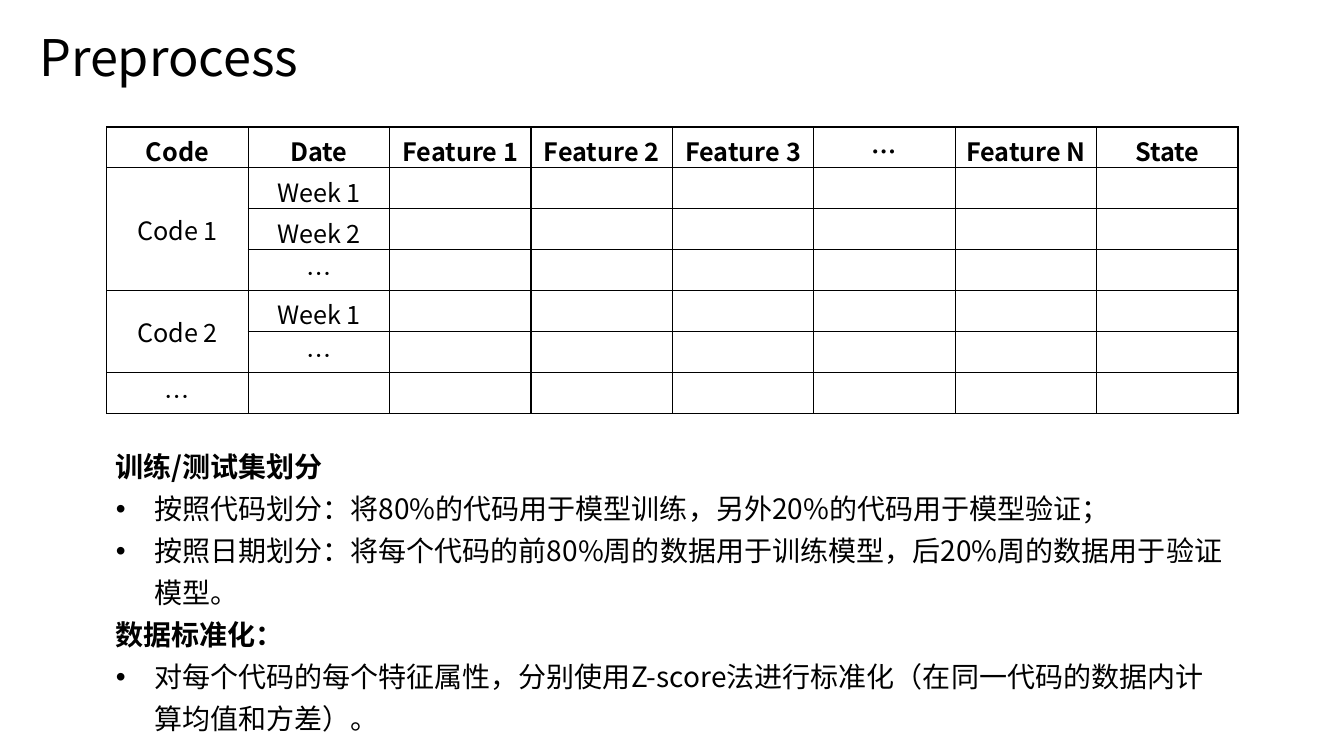
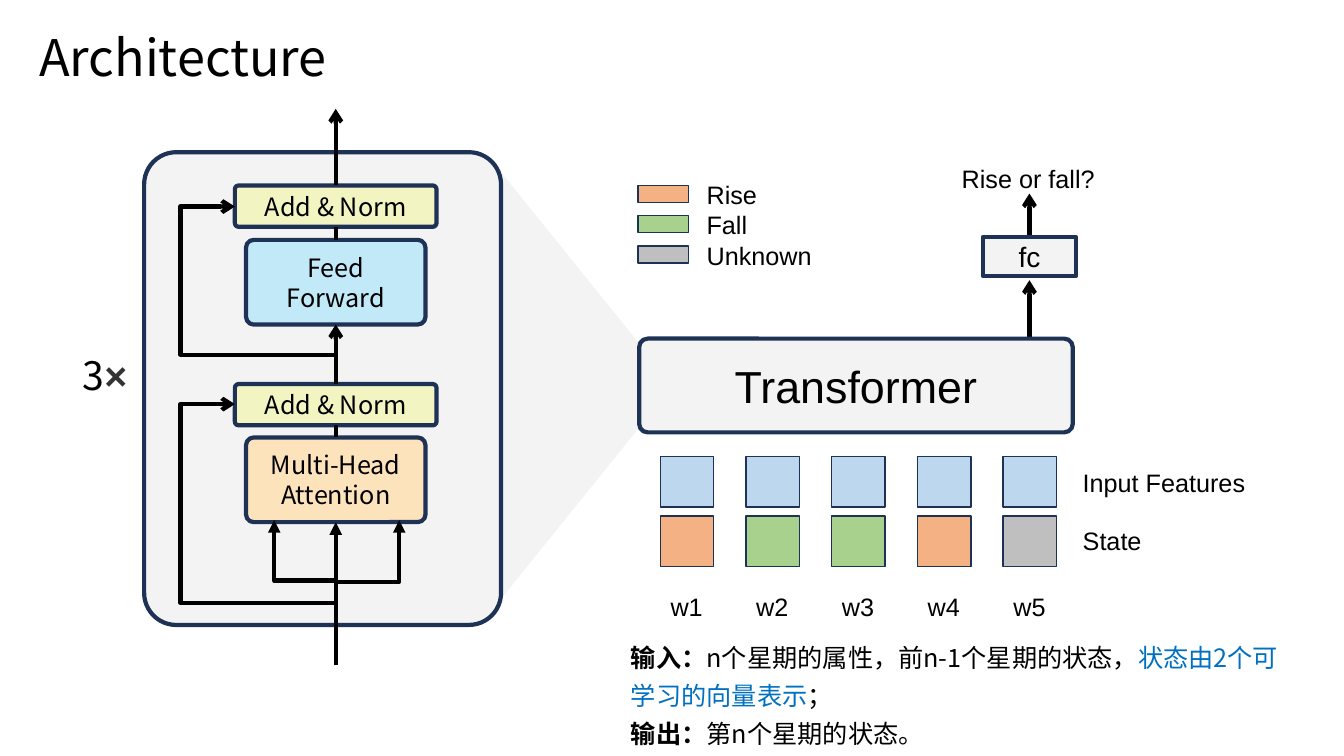
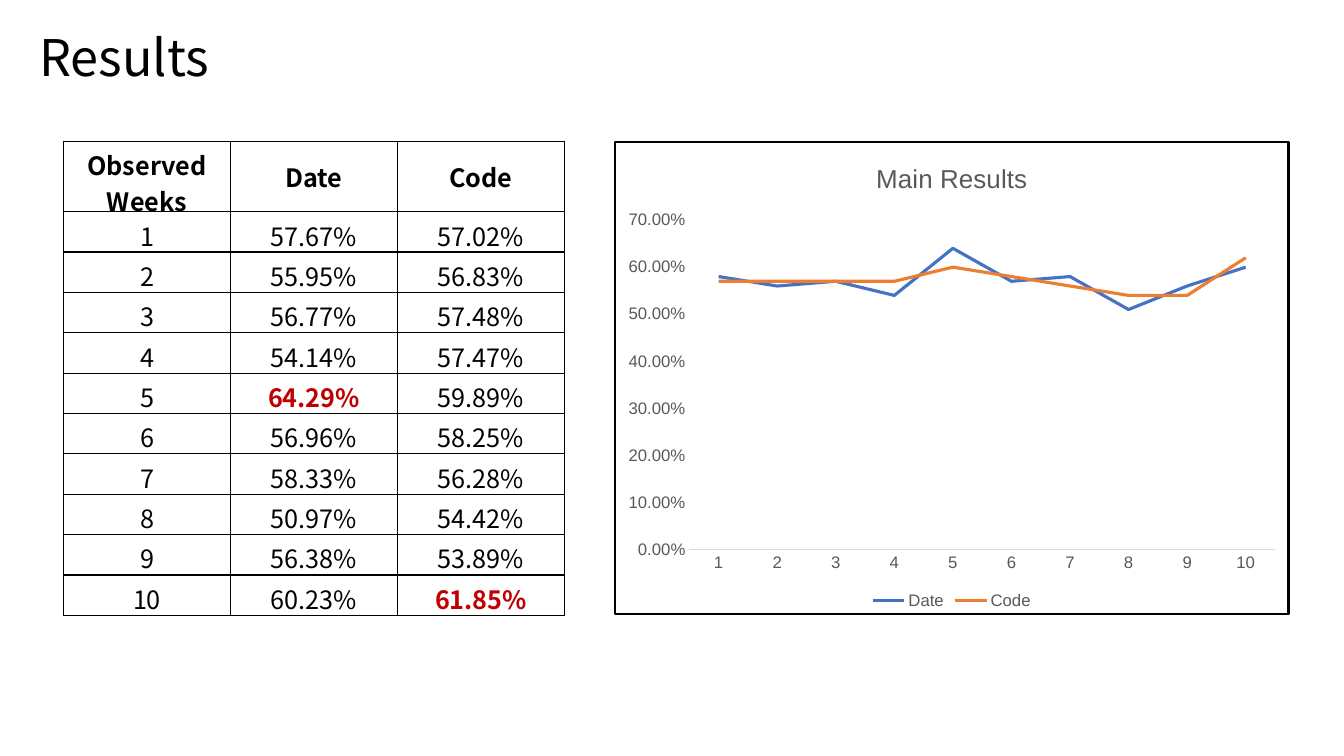
from lxml.etree import Element, SubElement
from pptx import Presentation
from pptx.chart.data import CategoryChartData
from pptx.dml.color import RGBColor
from pptx.enum.chart import XL_CHART_TYPE as Chart, XL_LEGEND_POSITION as Legend
from pptx.enum.chart import XL_MARKER_STYLE as Marker, XL_TICK_MARK as Tick
from pptx.enum.shapes import MSO_CONNECTOR as Link, MSO_SHAPE as Preset
from pptx.enum.text import MSO_ANCHOR as Anchor, MSO_AUTO_SIZE as AutoSize, PP_ALIGN as Align
from pptx.oxml.ns import qn
from pptx.util import Inches, Pt

NOTO, ARIAL = "Noto Sans CJK SC", "Arial"
BLACK, NAVY, PALE, RED, BLUE, GREY = "000000", "1E3256", "F3F3F4", "C00000", "0070C0", "595959"
FEATURE = "BDD7EE"
STATES = {"Rise": "F4B183", "Fall": "A9D18E", "Unknown": "BFBFBF"}

DATASET = [
    ["Code", "Date", "Feature 1", "Feature 2", "Feature 3", "…", "Feature N", "State"],
    ["Code 1", "Week 1"],
    ["", "Week 2"],
    ["", "…"],
    ["Code 2", "Week 1"],
    ["", "…"],
    ["…"],
]
CODE_SPANS = [(1, 3), (4, 5)]
METHODS = [
    ("训练/测试集划分", [
        "按照代码划分：将80%的代码用于模型训练，另外20%的代码用于模型验证；",
        "按照日期划分：将每个代码的前80%周的数据用于训练模型，后20%周的数据用于验证模型。",
    ]),
    ("数据标准化：", [
        "对每个代码的每个特征属性，分别使用Z-score法进行标准化（在同一代码的数据内计算均值和方差）。",
    ]),
]

BLOCKS = [
    (["Feed", "Forward"], (2.44, 2.38, 1.78, 0.84), "C2E9F8"),
    (["Add & Norm"], (2.33, 1.84, 2, 0.41), "F2F4C1"),
    (["Add & Norm"], (2.33, 3.81, 2, 0.41), "F2F4C1"),
    (["Multi-Head", "Attention"], (2.44, 4.34, 1.78, 0.84), "FDE3BB"),
]
STEM, HEAD = 3.33, 10.21
STRAIGHTS = [
    (STEM, 3.81, 3.22, "arrow"),
    (STEM, 2.38, 2.25, None),
    (STEM, 4.34, 4.22, None),
    (STEM, 6.6, 5.18, "triangle"),
    (STEM, 1.84, 1.08, "arrow"),
    (HEAD, 3.36, 2.78, "arrow"),
    (HEAD, 2.35, 1.92, "arrow"),
]
BRANCHES = [
    ((STEM, 3.51), (2.33, 2.05), (3.52, 1.79), "arrow"),
    ((STEM, 6.6), (2.72, 5.16), (5.76,), "triangle"),
    ((STEM, 6.6), (3.96, 5.16), (5.77,), "triangle"),
    ((STEM, 5.85), (2.33, 4.01), (5.98, 1.79), "arrow"),
]
WEEKS = ["Rise", "Fall", "Fall", "Rise", "Unknown"]
INPUT_OUTPUT = [
    [("输入：", {"bold": True}), ("n个星期的属性，前n-1个星期的状态，", {}),
     ("状态由2个可学习的向量表示", {"color": BLUE}), ("；", {})],
    [("输出：", {"bold": True}), ("第n个星期的状态。", {})],
]

SCORES = {
    "Date": [57.67, 55.95, 56.77, 54.14, 64.29, 56.96, 58.33, 50.97, 56.38, 60.23],
    "Code": [57.02, 56.83, 57.48, 57.47, 59.89, 58.25, 56.28, 54.42, 53.89, 61.85],
}
SERIES_COLORS = ["4472C4", "ED7D31"]


def rgb(value):
    """Turn a hex string into a colour."""
    return RGBColor.from_string(value)


def inches(*lengths):
    """Convert numbers to lengths."""
    return [Inches(length) for length in lengths]


def style(font, size=18, name=NOTO, color=BLACK, bold=False):
    """Apply a text format."""
    for key, value in {"size": Pt(size), "name": name, "bold": bold}.items():
        setattr(font, key, value)
    font.color.rgb = rgb(color)


def write(frame, paragraphs, align=Align.LEFT, spacing=None, **base):
    """Fill a frame with paragraphs, each a string or a list of (text, format) runs."""
    for index, runs in enumerate(paragraphs):
        paragraph = frame.paragraphs[0] if index == 0 else frame.add_paragraph()
        paragraph.alignment = align
        paragraph.line_spacing = spacing
        for text, extra in [(runs, {})] if isinstance(runs, str) else runs:
            run = paragraph.add_run()
            run.text = text
            look = {**base, **extra}
            style(run.font, **look)
            SubElement(run.font._element, qn("a:ea"), typeface=look.get("name", NOTO))


def textbox(slide, at, paragraphs, wrap=True, **look):
    """Add a text box that grows with its text."""
    frame = slide.shapes.add_textbox(*inches(*at)).text_frame
    frame.word_wrap = wrap
    frame.auto_size = AutoSize.SHAPE_TO_FIT_TEXT
    write(frame, paragraphs, **look)
    return frame


def box(slide, at, fill, preset=Preset.RECTANGLE, line=1, corner=None, paragraphs=(), **look):
    """Add a filled shape with an optional outline and centred text."""
    shape = slide.shapes.add_shape(preset, *inches(*at))
    shape.shadow.inherit = False
    shape.fill.solid()
    shape.fill.fore_color.rgb = rgb(fill)
    if corner is not None:
        shape.adjustments[0] = corner
    if line:
        shape.line.color.rgb = rgb(NAVY)
        shape.line.width = Pt(line)
    else:
        shape.line.fill.background()
    shape.text_frame.vertical_anchor = Anchor.MIDDLE
    write(shape.text_frame, paragraphs, align=Align.CENTER, **look)
    return shape


def connect(slide, start, end, head, kind=Link.STRAIGHT):
    """Add a thick black connector."""
    link = slide.shapes.add_connector(kind, *inches(*start, *end))
    link.line.color.rgb = rgb(BLACK)
    link.line.width = Pt(3)
    if head:
        SubElement(link.line._get_or_add_ln(), qn("a:tailEnd"), type=head)
    properties = link._element.spPr
    SubElement(properties, qn("a:effectLst"))
    return link, properties


def branch(slide, start, end, bends, head):
    """Add a bent connector that leaves upwards and turns at the given y, then x."""
    (x1, y1), (x2, y2) = start, end
    link, properties = connect(slide, start, end, head, Link.ELBOW)
    rise, run = y1 - y2, abs(x2 - x1)
    place = ((x1 + x2 - rise) / 2, (y1 + y2 - run) / 2, rise, run)
    for key, value in zip(("left", "top", "width", "height"), inches(*place)):
        setattr(link, key, value)
    frame = properties.find(qn("a:xfrm"))
    for key in ("flipH", "flipV"):
        frame.attrib.pop(key, None)
    frame.set("rot", "16200000")
    if x2 < x1:
        frame.set("flipV", "1")
    geometry = properties.find(qn("a:prstGeom"))
    geometry.set("prst", f"bentConnector{len(bends) + 2}")
    guides = geometry.find(qn("a:avLst"))
    shares = [(y1 - bends[0]) / rise] + [(x - x1) / (x2 - x1) for x in bends[1:]]
    for number, share in enumerate(shares, 1):
        SubElement(guides, qn("a:gd"), name=f"adj{number}", fmla=f"val {round(share * 100000)}")


def grid(slide, at, rows, heights, marked=()):
    """Add a bordered table with a bold first row and red marked values."""
    columns = len(rows[0])
    table = slide.shapes.add_table(len(rows), columns, *inches(*at)).table
    table.first_row = table.horz_banding = False
    for row, height in zip(table.rows, heights):
        row.height = Inches(height)
    for r, row in enumerate(rows):
        for c in range(columns):
            cell = table.cell(r, c)
            cell.vertical_anchor = Anchor.MIDDLE
            text = row[c] if c < len(row) else ""
            if text:
                write(cell.text_frame, [text], align=Align.CENTER, bold=r == 0 or text in marked,
                      color=RED if text in marked else BLACK)
            properties = cell._tc.get_or_add_tcPr()
            for side in ("lnL", "lnR", "lnT", "lnB"):
                border(properties, side, 1)
            cell.fill.background()
    return table


def border(parent, tag, width):
    """Add a solid black outline element."""
    line = SubElement(parent, qn(f"a:{tag}"), w=str(Pt(width)))
    SubElement(SubElement(line, qn("a:solidFill")), qn("a:srgbClr"), val=BLACK)


def new_slide(deck, title):
    """Add a blank slide with the shared title."""
    slide = deck.slides.add_slide(deck.slide_layouts[6])
    textbox(slide, (0.29, 0.21, 5.11, 0.71), [title], size=36)
    return slide


def preprocess(deck):
    """Build the data layout and the split rules."""
    slide = new_slide(deck, "Preprocess")
    table = grid(slide, (1.06, 1.26, 11.22, 2.84), DATASET, [2.84 / 7] * 7)
    for first, last in CODE_SPANS:
        table.cell(first, 0).merge(table.cell(last, 0))
    lines, bulleted = [], []
    for heading, points in METHODS:
        lines += [[(heading, {"bold": True})], *points]
        bulleted += [False] + [True] * len(points)
    frame = textbox(slide, (1.05, 4.33, 11.23, 3.01), lines, size=20, spacing=1.25)
    for paragraph, has_bullet in zip(frame.paragraphs, bulleted):
        if has_bullet:
            properties = paragraph._p.get_or_add_pPr()
            properties.set("marL", str(Inches(0.38)))
            properties.set("indent", str(Inches(-0.38)))
            SubElement(properties, qn("a:buFont"), typeface=ARIAL)
            SubElement(properties, qn("a:buChar"), char="•")


def architecture(deck):
    """Build the model diagram."""
    slide = new_slide(deck, "Architecture")
    rounded = {"preset": Preset.ROUNDED_RECTANGLE, "line": 3}
    zoom = box(slide, (3.54, 3.14, 4.23, 1.37), PALE, Preset.TRAPEZOID, line=0, corner=1.24)
    zoom.rotation = 90
    box(slide, (1.43, 1.51, 3.54, 4.69), PALE, corner=0.09, **rounded)
    for words, at, fill in BLOCKS:
        box(slide, at, fill, corner=0.09, paragraphs=words, **rounded)
    for x, bottom, top, head in STRAIGHTS:
        connect(slide, (x, bottom), (x, top), head)
    for route in BRANCHES:
        branch(slide, *route)
    times = ("×", {"name": ARIAL, "color": "333333", "bold": True})
    textbox(slide, (0.7, 3.44, 0.68, 0.57), [[("3", {}), times]], wrap=False, align=Align.CENTER, size=28)
    box(slide, (6.34, 3.36, 4.3, 0.93), PALE, corner=0.09, paragraphs=["Transformer"],
        size=32, name=ARIAL, **rounded)
    box(slide, (9.75, 2.35, 0.92, 0.39), PALE, corner=0, paragraphs=["fc"], size=20, name=ARIAL, **rounded)
    for week, state in enumerate(WEEKS):
        left = 6.55 + 0.85 * week
        for top, fill in ((4.53, FEATURE), (5.12, STATES[state])):
            box(slide, (left, top, 0.53, 0.5), fill)
        textbox(slide, (left, 5.82, 0.52, 0.4), [f"w{week + 1}"], wrap=False, align=Align.CENTER, name=ARIAL)
    for index, fill in enumerate(STATES.values()):
        box(slide, (6.33, 1.84 + 0.3 * index, 0.5, 0.17), fill)
    textbox(slide, (6.91, 1.73, 1.31, 1.01), list(STATES), name=ARIAL)
    for label, at in (("Input Features", (10.64, 4.59, 1.83, 0.4)), ("State", (10.64, 5.16, 0.79, 0.4)),
                      ("Rise or fall?", (9.44, 1.57, 1.53, 0.4))):
        textbox(slide, at, [label], wrap=False, name=ARIAL)
    textbox(slide, (6.16, 6.25, 6.71, 1.2), INPUT_OUTPUT, spacing=1.25)


def results(deck):
    """Build the score table and its line chart."""
    slide = new_slide(deck, "Results")
    weeks = [str(week) for week in range(1, 11)]
    columns = [weeks] + [[f"{score:.2f}%" for score in scores] for scores in SCORES.values()]
    rows = [["Observed Weeks", *SCORES], *zip(*columns)]
    best = [f"{max(scores):.2f}%" for scores in SCORES.values()]
    grid(slide, (0.63, 1.4, 4.97, 4.7), rows, [0.7] + [0.4] * 10, best)

    data = CategoryChartData(number_format="0.00%")
    data.categories = weeks
    for name, scores in SCORES.items():
        data.add_series(name, [round(score / 100, 2) for score in scores])
    chart = slide.shapes.add_chart(Chart.LINE, *inches(6.09, 1.4, 6.7, 4.7), data).chart
    style(chart.font, 10, ARIAL)
    outline = Element(qn("c:spPr"))
    border(outline, "ln", 1.5)
    chart.element.find(qn("c:chart")).addnext(outline)
    chart.has_title = True
    write(chart.chart_title.text_frame, ["Main Results"], align=Align.CENTER, size=18.6, name=ARIAL, color=GREY)
    chart.chart_title.include_in_layout = False
    chart.has_legend = True
    chart.legend.position = Legend.BOTTOM
    chart.legend.include_in_layout = False
    for part in (chart.legend.font, chart.category_axis.tick_labels.font, chart.value_axis.tick_labels.font):
        style(part, 12, ARIAL, GREY)
    for axis in (chart.category_axis, chart.value_axis):
        axis.has_major_gridlines = False
        axis.major_tick_mark = axis.minor_tick_mark = Tick.NONE
    chart.category_axis.format.line.color.rgb = rgb("D9D9D9")
    chart.category_axis.format.line.width = Pt(0.75)
    value_format = {"minimum_scale": 0, "maximum_scale": 0.7, "major_unit": 0.1}
    for key, value in value_format.items():
        setattr(chart.value_axis, key, value)
    chart.value_axis.format.line.fill.background()
    chart.value_axis.tick_labels.number_format = "0.00%"
    chart.value_axis.tick_labels.number_format_is_linked = False
    chart.plots[0].vary_by_categories = False
    for series, color in zip(chart.plots[0].series, SERIES_COLORS):
        series.smooth = False
        series.marker.style = Marker.NONE
        series.format.line.color.rgb = rgb(color)
        series.format.line.width = Pt(2.25)


def main():
    """Build and save the deck."""
    deck = Presentation()
    deck.slide_width, deck.slide_height = inches(13.33, 7.5)
    for build in (preprocess, architecture, results):
        build(deck)
    deck.save("out.pptx")


if __name__ == "__main__":
    main()
